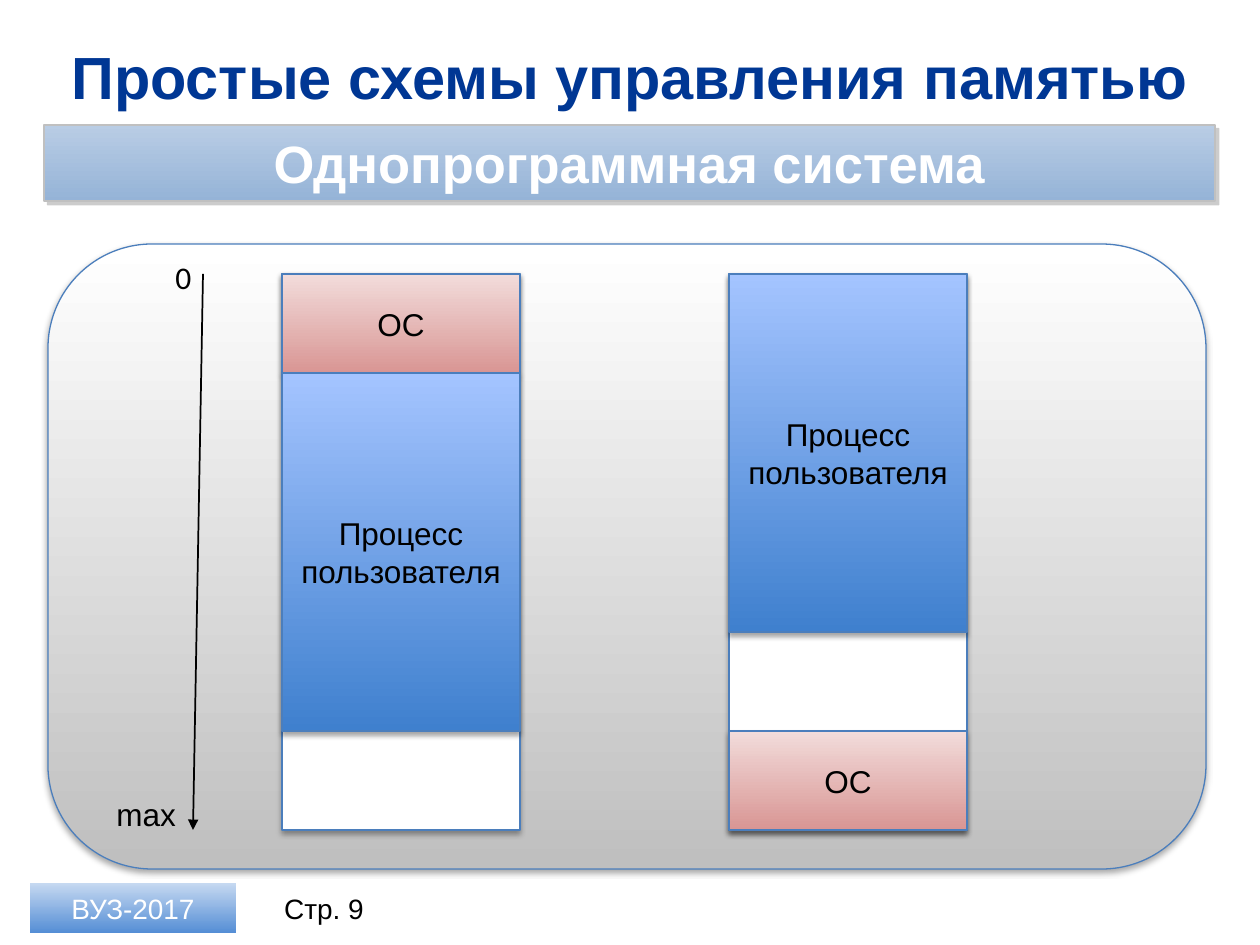
from lxml import etree
from pptx import Presentation
from pptx.dml.color import RGBColor
from pptx.enum.shapes import MSO_CONNECTOR, MSO_SHAPE
from pptx.enum.text import MSO_ANCHOR, PP_ALIGN
from pptx.oxml.ns import qn
from pptx.util import Pt

PX = 914400 / 126
RECT, ROUND = MSO_SHAPE.RECTANGLE, MSO_SHAPE.ROUNDED_RECTANGLE
LEFT, CENTER = PP_ALIGN.LEFT, PP_ALIGN.CENTER
TOP, MIDDLE = MSO_ANCHOR.TOP, MSO_ANCHOR.MIDDLE
BORDER = "4B7EBC"
SOFT = ("000000", 35, 3.1, 1.8, 90)
HARD = ("808080", 40, 0, 3, 45)
OS_FILL = ("F2DCDB", "D99694")
PROCESS_FILL = ("A4C4FF", "3F80CE")


def px(*values):
    return [round(v * PX) for v in values]


def rgb(value):
    return RGBColor.from_string(value)


def add_shadow(sp, color, alpha, blur, dist, angle):
    effects = sp._element.spPr.find(qn("a:effectLst"))
    shadow = etree.SubElement(
        effects, qn("a:outerShdw"), blurRad=str(Pt(blur)), dist=str(Pt(dist)),
        dir=str(angle * 60000), algn="ctr", rotWithShape="0")
    clr = etree.SubElement(shadow, qn("a:srgbClr"), val=color)
    etree.SubElement(clr, qn("a:alpha"), val=str(alpha * 1000))


def write(sp, text, size, color="000000", bold=False, font="Arial",
          align=CENTER, anchor=MIDDLE, wrap=True):
    tf = sp.text_frame
    tf.word_wrap = wrap
    tf.vertical_anchor = anchor
    p = tf.paragraphs[0]
    p.alignment = align
    for i, line in enumerate(text.split("\n")):
        if i:
            p.add_line_break()
        r = p.add_run()
        r.text = line
        r.font.name, r.font.size, r.font.bold = font, Pt(size), bold
        r.font.color.rgb = rgb(color)


def add_block(s, kind, box, colors, line=BORDER, width=0.75, shadow=SOFT):
    sp = s.shapes.add_shape(kind, *px(*box))
    sp.shadow.inherit = False
    if len(colors) == 1:
        sp.fill.solid()
        sp.fill.fore_color.rgb = rgb(colors[0])
    else:
        sp.fill.gradient()
        sp.fill.gradient_angle = 270
        for stop, color in zip(sp.fill.gradient_stops, colors):
            stop.color.rgb = rgb(color)
    if line:
        sp.line.color.rgb = rgb(line)
        sp.line.width = Pt(width)
    else:
        sp.line.fill.background()
    if shadow:
        add_shadow(sp, *shadow)
    return sp


def add_label(s, box, text, size, **style):
    write(s.shapes.add_textbox(*px(*box)), text, size, **style)


def add_header(s, x, y, w):
    title = s.shapes.title
    title.left, title.top, title.width, title.height = px(x, y, w, 86)
    write(title, "Простые схемы управления памятью", 34, "003794", True)
    banner = add_block(s, RECT, (x, y + 92, w, 76), ("B9CDE5", "95B3D7"),
                       "C0C0C0", 1, HARD)
    write(banner, "Однопрограммная система", 30, "FFFFFF", True)


def add_address_axis(s, x, y, h):
    axis = s.shapes.add_connector(MSO_CONNECTOR.STRAIGHT,
                                  *px(x + 10, y, x, y + h))
    axis.line.color.rgb = rgb("000000")
    axis.line.width = Pt(1)
    etree.SubElement(axis.line._get_or_add_ln(), qn("a:tailEnd"),
                     type="triangle")
    etree.SubElement(axis._element.spPr, qn("a:effectLst"))
    style = dict(align=LEFT, anchor=TOP, wrap=False)
    add_label(s, (x - 30, y - 22, 30, 50), "0", 18, font="Calibri", **style)
    add_label(s, (x - 89, y + h - 41, 89, 50), "max", 18, **style)


def add_memory(s, x, y, w, h, os_first):
    os_h = 99
    process_h = h - 2 * os_h
    os_y, process_y = (y, y + os_h) if os_first else (y + h - os_h, y)
    add_block(s, RECT, (x, y, w, h), ("FFFFFF",))
    os_block = add_block(s, RECT, (x, os_y, w, os_h), OS_FILL)
    write(os_block, "ОС", 18)
    process = add_block(s, RECT, (x, process_y, w, process_h), PROCESS_FILL)
    write(process, "Процесс\nпользователя", 18)


def add_diagram(s, x, y, w, h):
    add_block(s, ROUND, (x, y, w, h), ("FFFFFF", "BFBFBF"))
    top, height = y + 30, 556
    add_address_axis(s, x + 145, top, height)
    add_memory(s, x + 234, top, 238, height, os_first=True)
    add_memory(s, x + 681, top, 238, height, os_first=False)


def add_footer(s, x, y, h):
    tag = add_block(s, RECT, (x, y, 206, h), ("C6D9F1", "558ED5"),
                    line=None, shadow=None)
    write(tag, "ВУЗ-2017", 16, "FFFFFF")
    add_label(s, (x + 226, y, 136, h), "Стр. 9", 16)


def main():
    prs = Presentation()
    prs.slide_width, prs.slide_height = px(1260, 945)
    s = prs.slides.add_slide(prs.slide_layouts[5])
    add_header(s, 44, 33, 1171)
    add_diagram(s, 48, 244, 1158, 625)
    add_footer(s, 30, 883, 50)
    prs.save("out.pptx")


if __name__ == "__main__":
    main()
